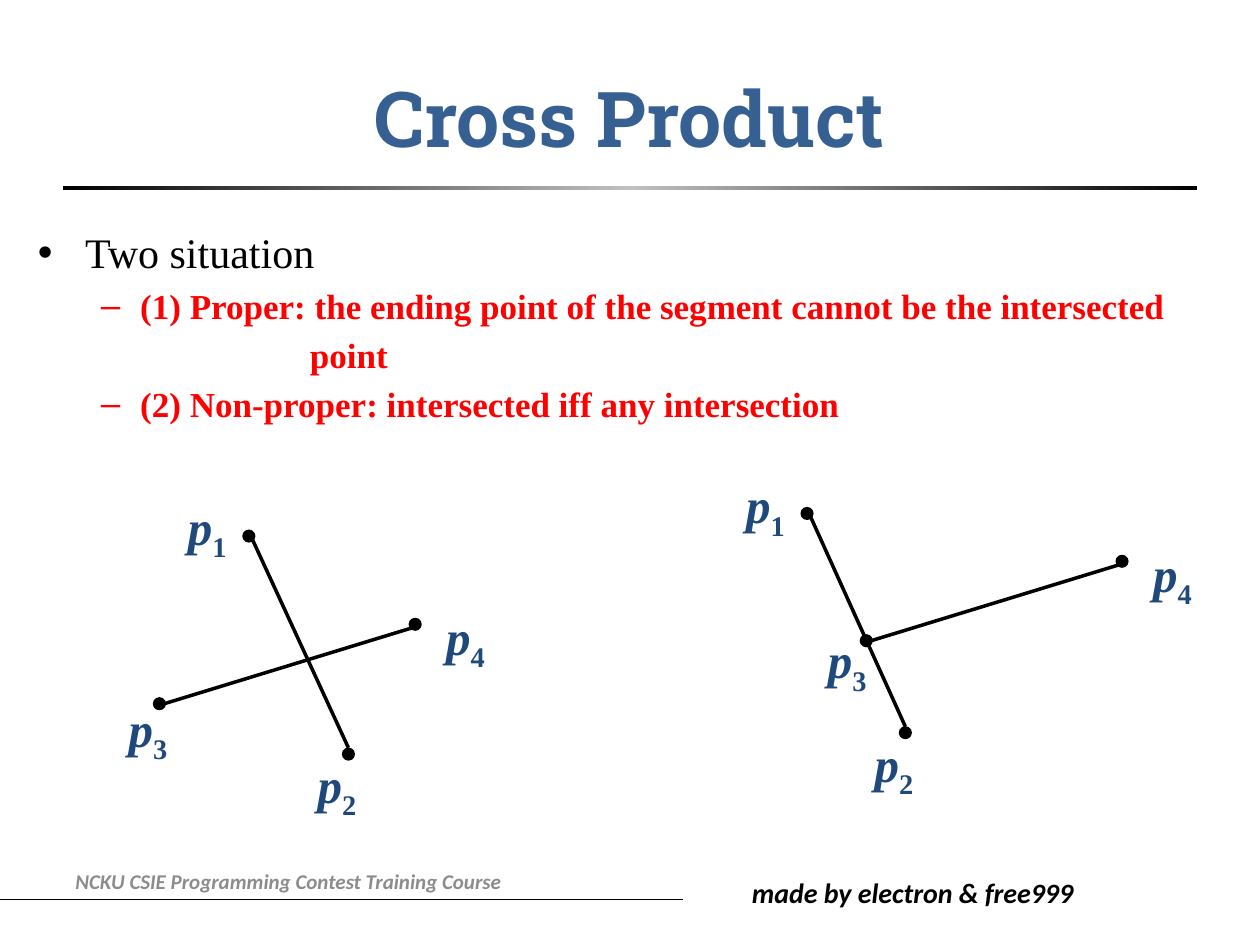
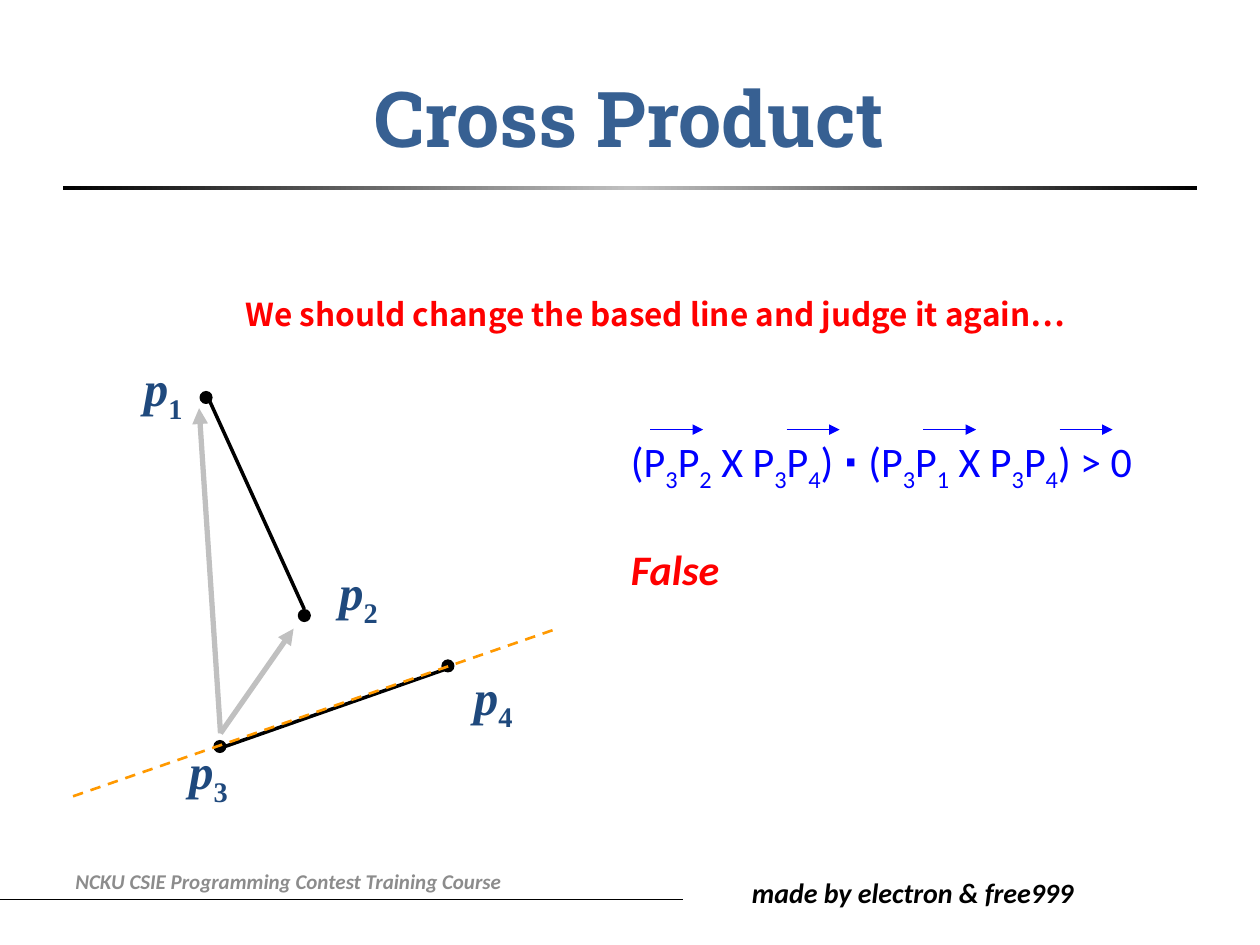
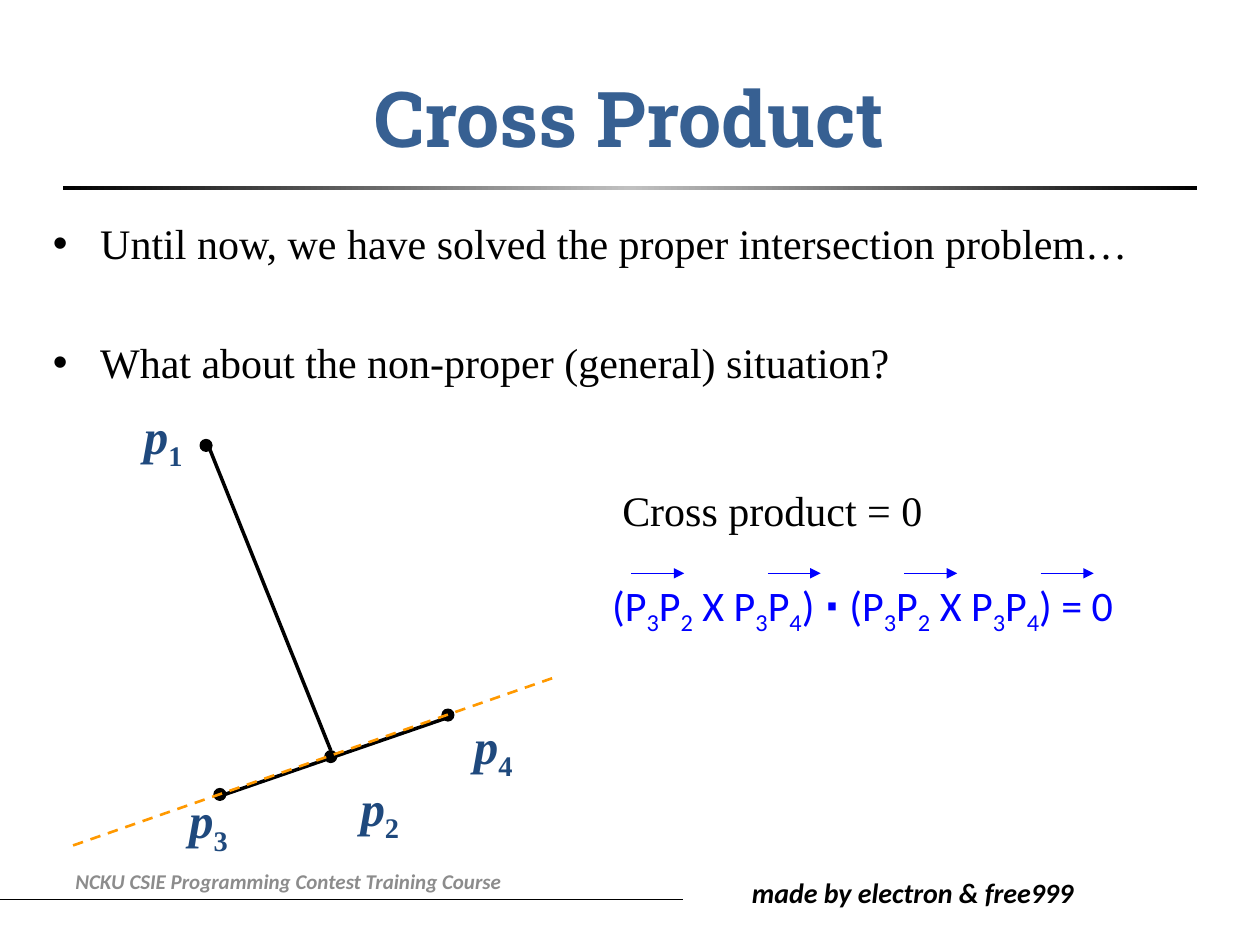
"""Build three slides on the cross product test for segment intersection."""
from lxml import etree
from pptx import Presentation
from pptx import util as u
from pptx.dml import color
from pptx.enum import dml, shapes, text
from pptx.oxml import ns, parse_xml

HUES = {"title": "376092", "label": "1F497D", "ink": "000000", "foot": "8C8C8C",
        "red": "FF0000", "blue": "0000FF", "gray": "C0C0C0", "gold": "FF9900"}
SERIF, SANS = "Times New Roman", "Calibri"
DOT = 0.09
HEAD = "Cross Product"
COURSE = "NCKU CSIE Programming Contest Training Course"
CREDIT = "made by electron & free999"

RED = {"size": 20, "hue": "red", "bold": True}
CASES = [
    ("Two situation", 0, {}, {}),
    ("(1) Proper: the ending point of the segment cannot be the intersected", 1, RED, {}),
    ("point", 1, RED, {"left": 2.16}),
    ("(2) Non-proper: intersected iff any intersection", 1, RED, {}),
]
ASKS = [
    ("Until now, we have solved the proper intersection problem…", 0, {}, {}),
    ("What about the non-proper (general) situation?", 0, {}, {"gap": 39}),
]

# Each graph lists the dots and the labels of points 1 to 4.
PROPER = ([(1.93, 4.21), (2.72, 5.94), (1.22, 5.54), (3.25, 4.91)],
          [(1.48, 3.94), (2.51, 5.99), (1.01, 5.54), (3.53, 4.81)])
TOUCH = ([(6.36, 4.03), (7.14, 5.77), (6.83, 5.04), (8.86, 4.41)],
         [(5.91, 3.77), (6.93, 5.82), (6.56, 5.0), (9.14, 4.31)])
APART = ([(1.59, 3.11), (2.37, 4.84), (1.7, 5.88), (3.51, 5.24)],
         [(1.13, 2.84), (2.68, 4.46), (1.49, 5.88), (3.75, 5.29)])
MEET = ([(1.59, 3.49), (2.58, 5.96), (1.7, 6.26), (3.51, 5.63)],
        [(1.13, 3.22), (2.85, 6.17), (1.49, 6.27), (3.75, 5.68)])
SEGS = [(0, 1, (0.03, 0.03), (0, -0.05)), (2, 3, (0.04, 0), (-0.03, 0.03))]


def rgb(hue):
    return color.RGBColor.from_string(HUES[hue])


def write(par, words, size=24, font=SERIF, hue="ink", bold=False, ital=False, sub=False):
    run = par.add_run()
    run.text = words
    face = run.font
    face.size, face.name, face.bold, face.italic = u.Pt(size), font, bold, ital
    face.color.rgb = rgb(hue)
    if sub:
        run._r.get_or_add_rPr().set("baseline", "-25000")


def frame(slide, x, y, w, h, pad=True, wrap=True):
    body = slide.shapes.add_textbox(*map(u.Inches, (x, y, w, h))).text_frame
    body.word_wrap = wrap
    if not pad:
        body.margin_left = body.margin_right = body.margin_top = body.margin_bottom = 0
    return body


def line(slide, start, end, hue="ink", width=2, dash=False, arrow=False):
    item = slide.shapes.add_connector(
        shapes.MSO_CONNECTOR.STRAIGHT, *map(u.Inches, (*start, *end)))
    item.line.color.rgb = rgb(hue)
    item.line.width = u.Pt(width)
    if dash:
        item.line.dash_style = dml.MSO_LINE.DASH
    if arrow:
        etree.SubElement(item.line._get_or_add_ln(), ns.qn("a:tailEnd"), type="triangle")
    etree.SubElement(item._element.spPr, ns.qn("a:effectLst"))


def solid(slide, kind, x, y, w, h):
    item = slide.shapes.add_shape(kind, *map(u.Inches, (x, y, w, h)))
    item.shadow.inherit = False
    item.fill.solid()
    item.fill.fore_color.rgb = item.line.color.rgb = rgb("ink")
    item.line.width = u.Pt(1)
    return item


def rule(slide):
    bar = solid(slide, shapes.MSO_SHAPE.RECTANGLE, 0.5, 1.48, 9, 0.03)
    bar.line.fill.background()
    stops = "".join(
        f'<a:gs pos="{pos}"><a:srgbClr val="{HUES[hue]}"/></a:gs>'
        for pos, hue in ((0, "ink"), (50000, "gray"), (100000, "ink")))
    fade = parse_xml(f'<a:gradFill {ns.nsdecls("a")}><a:gsLst>{stops}</a:gsLst>'
                     '<a:lin ang="0" scaled="0"/></a:gradFill>')
    props = bar._element.spPr
    props.replace(props.find(ns.qn("a:solidFill")), fade)


def start(deck, layout):
    slide = deck.slides.add_slide(deck.slide_layouts[layout])
    line(slide, (0, 7.14), (5.42, 7.14), width=0.5)
    credit = frame(slide, 5.87, 6.9, 2.83, 0.37)
    write(credit.paragraphs[0], CREDIT, 16, SANS, bold=True, ital=True)
    rule(slide)
    write(slide.shapes.title.text_frame.paragraphs[0], HEAD, 44, "Roboto Slab", "title", True)
    foot = frame(slide, 0.5, 6.79, 4.5, 0.4)
    foot.vertical_anchor = text.MSO_ANCHOR.MIDDLE
    write(foot.paragraphs[0], COURSE, 12, SANS, "foot", True, True)
    return slide


def bullets(slide, x, y, items):
    box = slide.placeholders[1]
    box.left, box.top, box.width, box.height = map(u.Inches, (x, y, 9.61, 4.95))
    for i, (words, level, style, place) in enumerate(items):
        body = box.text_frame
        par = body.add_paragraph() if i else body.paragraphs[0]
        par.level = level
        if "gap" in place:
            par.space_before = u.Pt(place["gap"])
        if "left" in place:
            props = par._p.get_or_add_pPr()
            props.set("marL", str(u.Inches(place["left"])))
            props.set("indent", "0")
            etree.SubElement(props, ns.qn("a:buNone"))
        write(par, words, **style)


def graph(slide, dots, labels):
    for num, ((x, y), (left, top)) in enumerate(zip(dots, labels), 1):
        solid(slide, shapes.MSO_SHAPE.OVAL, x, y, DOT, DOT)
        par = frame(slide, left, top, 0.33, 0.47, pad=False, wrap=False).paragraphs[0]
        par.alignment = text.PP_ALIGN.CENTER
        write(par, "p", 28, SERIF, "label", True, True)
        write(par, str(num), 28, SERIF, "label", True, sub=True)
    for a, b, *shifts in SEGS:
        ends = [tuple(c + DOT / 2 + d for c, d in zip(dots[i], shift))
                for i, shift in zip((a, b), shifts)]
        line(slide, *ends)


def math(par, words, bold=False):
    first, *rest = words.split("_")
    write(par, first, 24, SANS, "blue", bold)
    for part in rest:
        write(par, part[0], 24, SANS, "blue", sub=True)
        if part[1:]:
            write(par, part[1:], 24, SANS, "blue")


def formula(slide, x, y, last, sign):
    body = frame(slide, x, y, 4.6, 0.5)
    par = body.paragraphs[0]
    math(par, "(P_3P_2 X P_3P_4) ")
    math(par, "⋅ ", True)
    math(par, f"(P_3P_{last} X P_3P_4) {sign} 0")
    for i in range(4):
        left = x + 0.25 + i * 3.25 / 3
        line(slide, (left, y), (left + 0.42, y), "blue", 0.75, arrow=True)
    return body


def main():
    deck = Presentation()
    deck.slide_width, deck.slide_height = u.Inches(10), u.Inches(7.5)

    slide = start(deck, 1)
    bullets(slide, 0.2, 1.75, CASES)
    graph(slide, *PROPER)
    graph(slide, *TOUCH)

    slide = start(deck, 5)
    graph(slide, *APART)
    for end in ((2.33, 4.99), (1.58, 3.24)):
        line(slide, (1.75, 5.82), end, "gray", 3, arrow=True)
    line(slide, (0.58, 6.32), (4.42, 4.99), "gold", 1.5, dash=True)
    par = formula(slide, 4.91, 3.41, 1, ">").add_paragraph()
    par.space_before = u.Pt(29)
    write(par, "False", 24, SANS, "red", True, True)
    par = frame(slide, 1.85, 2.25, 7.99, 0.42).paragraphs[0]
    par.line_spacing = 1.15
    write(par, "We should change the based line and judge it again…",
          18, "Noto Sans CJK JP", "red", True)

    slide = start(deck, 1)
    bullets(slide, 0.32, 1.68, ASKS)
    graph(slide, *MEET)
    line(slide, (0.58, 6.71), (4.42, 5.37), "gold", 1.5, dash=True)
    formula(slide, 4.76, 4.55, 2, "=")
    write(frame(slide, 4.84, 3.8, 2.61, 0.5).paragraphs[0], "Cross product = 0")

    deck.save("out.pptx")


if __name__ == "__main__":
    main()
